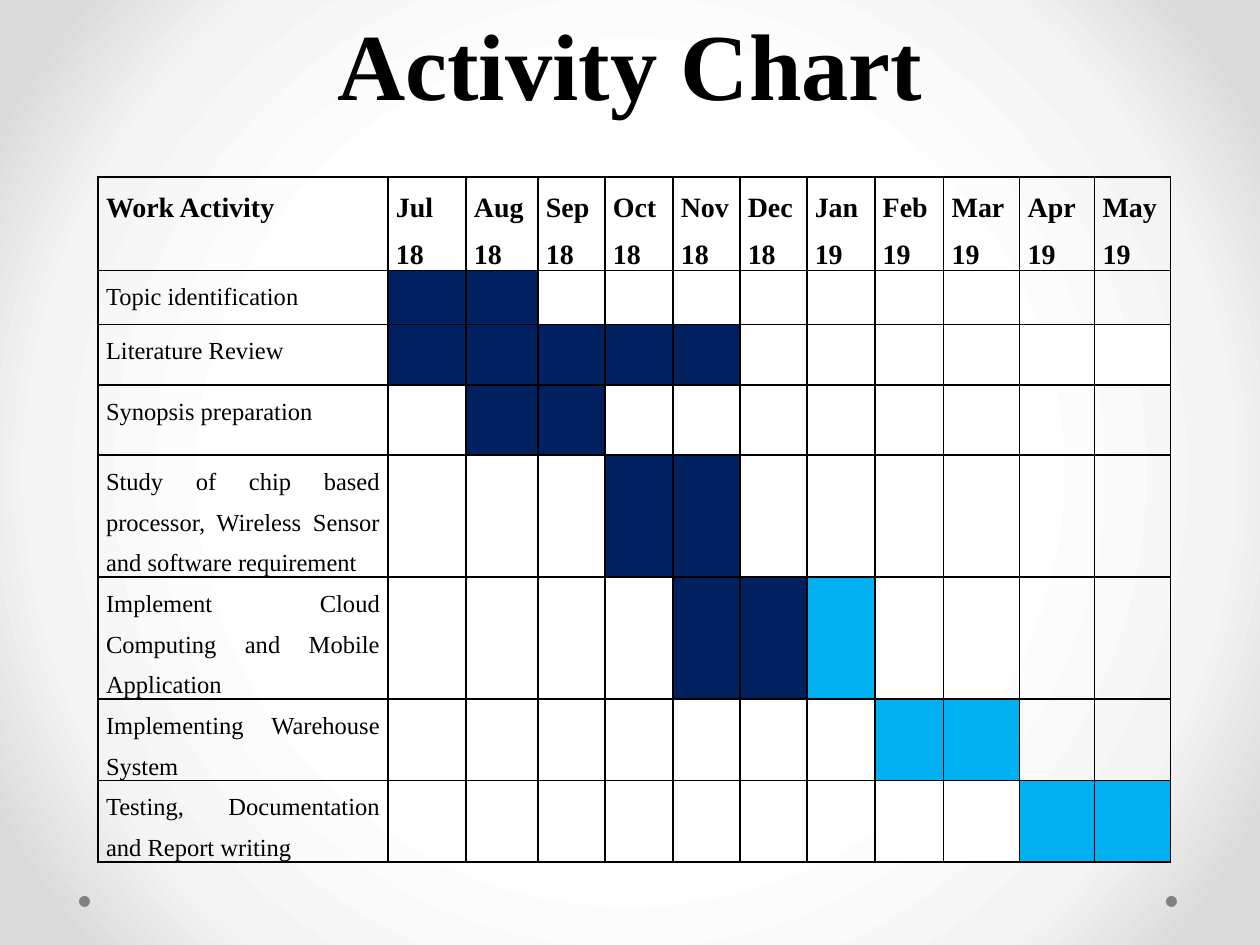
"""Build the activity chart slide."""
from dataclasses import dataclass

from pptx import Presentation
from pptx.dml.color import RGBColor
from pptx.enum.shapes import MSO_SHAPE as Shape
from pptx.enum.text import MSO_ANCHOR as Anchor, PP_ALIGN as Align
from pptx.oxml import parse_xml
from pptx.oxml.ns import nsdecls
from pptx.util import Emu, Pt

BLACK = RGBColor(0x00, 0x00, 0x00)
WHITE = RGBColor(0xFF, 0xFF, 0xFF)
NAVY = RGBColor(0x00, 0x20, 0x60)
SKY = RGBColor(0x00, 0xB0, 0xF0)
GREY = RGBColor(0x80, 0x80, 0x80)
LIGHT_GREY = RGBColor(0xF4, 0xF4, 0xF4)
MID_GREY = RGBColor(0xDA, 0xDA, 0xDA)

FONT = "Times New Roman"
SCALE = 914400 // 126
COLUMNS = [290, 78, 72, 67, 68, 67, 67, 68, 69, 76, 75, 76]
HEADER_HEIGHT = 93
MONTHS = ["Jul\n18", "Aug\n18", "Sep\n18", "Oct\n18", "Nov\n18", "Dec\n18",
          "Jan 19", "Feb\n19", "Mar\n19", "Apr\n19", "May\n19"]


@dataclass(frozen=True)
class Span:
    first: int
    last: int
    color: RGBColor


@dataclass(frozen=True)
class Activity:
    name: str
    height: int
    spans: tuple[Span, ...]


ACTIVITIES = [
    Activity("Topic identification", 54, (Span(1, 2, NAVY),)),
    Activity("Literature Review", 61, (Span(1, 5, NAVY), Span(6, 11, WHITE))),
    Activity("Synopsis preparation", 70, (Span(2, 3, NAVY), Span(4, 5, WHITE))),
    Activity("Study of chip based processor, Wireless Sensor and software requirement",
             122, (Span(4, 5, NAVY), Span(6, 6, WHITE))),
    Activity("Implement Cloud Computing and Mobile Application",
             122, (Span(5, 6, NAVY), Span(7, 7, SKY))),
    Activity("Implementing Warehouse System", 81, (Span(4, 7, WHITE), Span(8, 9, SKY))),
    Activity("Testing, Documentation and Report writing",
             81, (Span(8, 9, WHITE), Span(10, 11, SKY))),
]


def px(n: int) -> Emu:
    return Emu(n * SCALE)


def set_background(s) -> None:
    stops = "".join(
        f'<a:gs pos="{pos * 1000}"><a:srgbClr val="{color}"/></a:gs>'
        for pos, color in ((0, WHITE), (50, WHITE), (76, LIGHT_GREY), (92, MID_GREY), (100, MID_GREY)))
    s.background.fill.solid()
    bg_pr = s.element.cSld.bg.bgPr
    bg_pr.replace(bg_pr[0], parse_xml(
        f'<a:gradFill {nsdecls("a")} rotWithShape="1"><a:gsLst>{stops}</a:gsLst>'
        '<a:path path="circle"><a:fillToRect l="50000" t="50000" r="50000" b="50000"/>'
        '</a:path></a:gradFill>'))


def format_paragraph(p, size: int, bold: bool, align: Align) -> None:
    p.alignment = align
    p.font.name = FONT
    p.font.size = Pt(size)
    p.font.bold = bold
    p.font.color.rgb = BLACK


def add_title(s, text: str) -> None:
    title = s.shapes.title
    title.left, title.top, title.width, title.height = px(0), px(0), px(1260), px(127)
    tf = title.text_frame
    tf.text = text
    tf.vertical_anchor = Anchor.TOP
    format_paragraph(tf.paragraphs[0], 54, True, Align.CENTER)


def add_dot(s, left: int) -> None:
    dot = s.shapes.add_shape(Shape.OVAL, px(left), px(896), px(11), px(11))
    dot.shadow.inherit = False
    dot.fill.solid()
    dot.fill.fore_color.rgb = GREY
    dot.line.fill.background()


def prepare_cell(cell) -> None:
    cell.margin_left = cell.margin_right = px(8)
    cell.margin_top = cell.margin_bottom = 0
    tc_pr = cell._tc.get_or_add_tcPr()
    for side in "LRTB":
        tc_pr.append(parse_xml(
            f'<a:ln{side} {nsdecls("a")} w="{Pt(1)}"><a:solidFill>'
            f'<a:srgbClr val="{BLACK}"/></a:solidFill></a:ln{side}>'))
    cell.fill.background()


def write_cell(cell, text: str, size: int, bold: bool) -> None:
    cell.text = text
    for p in cell.text_frame.paragraphs:
        format_paragraph(p, size, bold, Align.JUSTIFY)
        p.line_spacing = 1.5


def add_activity_table(s) -> None:
    heights = [HEADER_HEIGHT] + [a.height for a in ACTIVITIES]
    table = s.shapes.add_table(len(heights), len(COLUMNS), px(98), px(177),
                               px(sum(COLUMNS)), px(sum(heights))).table
    table.first_row = table.horz_banding = False
    for column, width in zip(table.columns, COLUMNS):
        column.width = px(width)
    for row, height in zip(table.rows, heights):
        row.height = px(height)
    for cell in table.iter_cells():
        prepare_cell(cell)
    for col, text in enumerate(["Work Activity"] + MONTHS):
        write_cell(table.cell(0, col), text, 16, True)
    for row, activity in enumerate(ACTIVITIES, 1):
        write_cell(table.cell(row, 0), activity.name, 14, False)
        for span in activity.spans:
            for col in range(span.first, span.last + 1):
                fill = table.cell(row, col).fill
                fill.solid()
                fill.fore_color.rgb = span.color


prs = Presentation()
prs.slide_width, prs.slide_height = px(1260), px(945)
s = prs.slides.add_slide(prs.slide_layouts[5])
set_background(s)
for dot_left in (1166, 79):
    add_dot(s, dot_left)
add_activity_table(s)
add_title(s, "Activity Chart")
prs.save("out.pptx")
